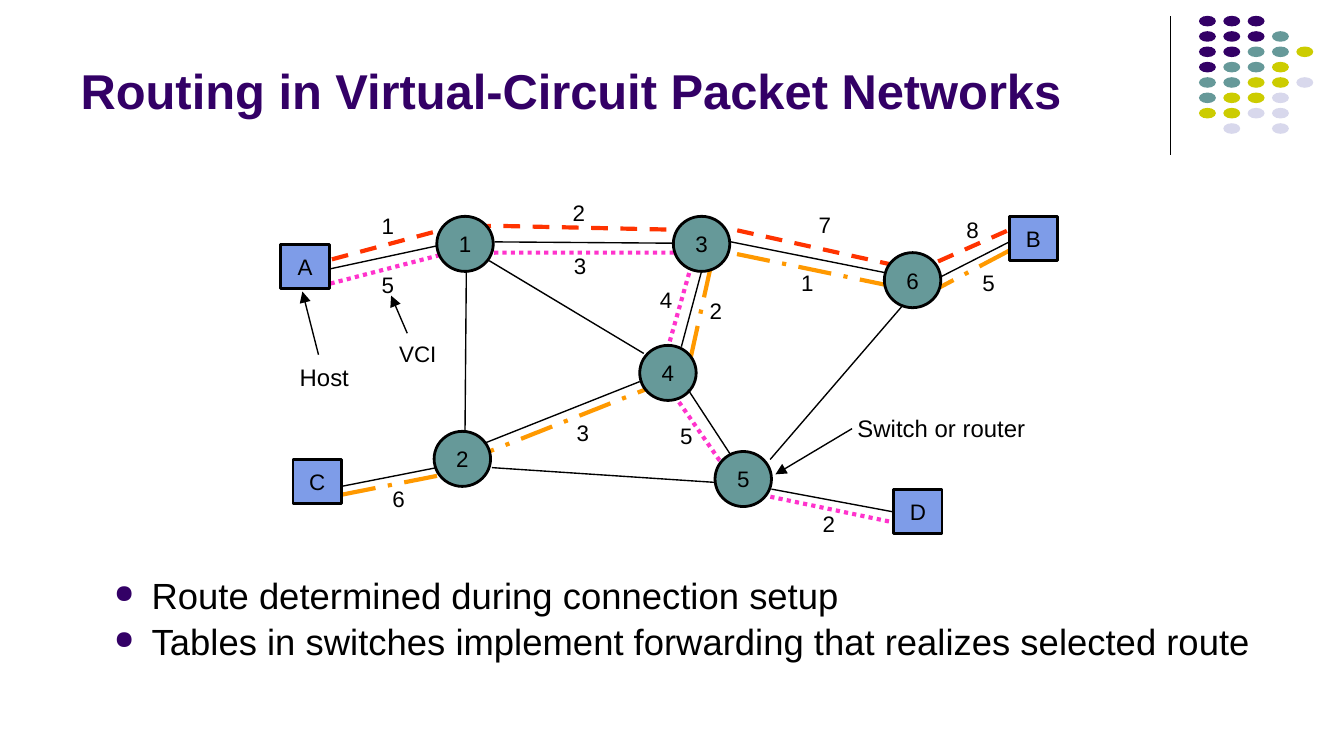
"""Build the slide on routing in virtual-circuit packet networks."""
from dataclasses import dataclass

from lxml import etree
from pptx import Presentation, util as u
from pptx.dml.color import RGBColor
from pptx.enum import dml, shapes, text
from pptx.oxml.ns import qn

PURPLE, TEAL, BLACK, BLUE = "330066", "669999", "000000", "7E9CE8"
FONT = "Arial"


@dataclass
class Node:
    label: str
    left: float
    top: float


@dataclass
class Route:
    color: str
    dash: dml.MSO_LINE
    points: list[tuple[float, float]]


@dataclass
class Link:
    start: tuple[float, float]
    end: tuple[float, float]
    arrow: bool = False


@dataclass
class Label:
    words: str
    left: float
    top: float
    width: float = 0.09
    size: float = 12


DOT_ROWS = ["PPP", "PPPT", "PPTTY", "PTTY", "TTYYL", "TYYL", "YYLL", " L L"]
DOT_COLORS = {"P": PURPLE, "T": TEAL, "Y": "CCCC00", "L": "D8D8EC"}

ROUTES = [
    Route("FF9900", dml.MSO_LINE.LONG_DASH_DOT, [
        (2.55, 3.68), (3.26, 3.54), (3.64, 3.36), (4.8, 2.9), (5.14, 2.66),
        (5.29, 1.98), (5.43, 1.88), (6.59, 2.12), (6.99, 2.14), (7.52, 1.86)]),
    Route("FF33CC", dml.MSO_LINE.ROUND_DOT, [
        (2.46, 2.11), (3.27, 1.9), (3.69, 1.88), (5.04, 1.88), (5.14, 1.99),
        (4.97, 2.59), (5.03, 2.96), (5.35, 3.42), (5.7, 3.69), (6.66, 3.89)]),
    Route("FF3300", dml.MSO_LINE.DASH, [
        (2.47, 1.93), (3.29, 1.71), (3.66, 1.68), (5.04, 1.71),
        (5.42, 1.7), (6.64, 1.97), (6.97, 1.95), (7.51, 1.71)]),
]
SWITCHES = [Node("1", 3.25, 1.61), Node("2", 3.23, 3.21), Node("3", 5.01, 1.61),
            Node("4", 4.76, 2.57), Node("5", 5.32, 3.36), Node("6", 6.58, 1.88)]
HOSTS = [Node("A", 2.09, 1.82), Node("B", 7.51, 1.61),
         Node("C", 2.18, 3.42), Node("D", 6.65, 3.64)]
LINKS = [
    Link((2.46, 2), (3.25, 1.83)), Link((3.68, 1.8), (5.02, 1.81)),
    Link((5.44, 1.8), (6.59, 2.03)), Link((7, 2.06), (7.51, 1.8)),
    Link((3.47, 2.02), (3.46, 3.22)), Link((3.64, 1.94), (4.79, 2.63)),
    Link((5.22, 2.02), (5.07, 2.58)), Link((2.54, 3.62), (3.25, 3.48)),
    Link((3.66, 3.48), (5.32, 3.59)), Link((3.6, 3.3), (4.76, 2.84)),
    Link((5.12, 2.9), (5.44, 3.39)), Link((6.72, 2.27), (5.73, 3.42)),
    Link((5.74, 3.64), (6.65, 3.81)),
    Link((2.37, 2.64), (2.25, 2.17), True),
    Link((6.34, 3.19), (5.77, 3.53), True),
    Link((3.03, 2.48), (2.91, 2.2), True),
]
LABELS = [
    Label("1", 2.84, 1.58), Label("5", 2.84, 2.02), Label("2", 4.26, 1.48),
    Label("3", 4.27, 1.88), Label("7", 6.09, 1.57), Label("1", 5.96, 2),
    Label("8", 7.19, 1.61), Label("5", 7.31, 2), Label("4", 4.91, 2.13),
    Label("2", 5.28, 2.21), Label("3", 4.29, 3.12), Label("6", 2.92, 3.61),
    Label("5", 5.06, 3.14), Label("2", 6.12, 3.8),
    Label("Switch or router", 6.38, 3.08, 1.25, 12.8),
    Label("Host", 2.23, 2.7, 0.37, 12.8), Label("VCI", 2.97, 2.53, 0.28),
]
BULLETS = ["Route determined during connection setup",
           "Tables in switches implement forwarding that realizes selected route"]


def length(inches: float) -> u.Length:
    """Turn inches into a length."""
    return u.Cm(inches * 2.54)


def box(*inches: float) -> list[u.Length]:
    """Turn several inch values into lengths."""
    return [length(value) for value in inches]


def color(value: str) -> RGBColor:
    """Turn a hex string into a colour."""
    return RGBColor.from_string(value)


def set_format(target, **values) -> None:
    """Set each named attribute on the target."""
    for name, value in values.items():
        setattr(target, name, value)


def write(frame, lines: list[str], size: float, hue: str = BLACK, bold: bool = False,
          align=text.PP_ALIGN.LEFT, **frame_format) -> None:
    """Fill a text frame with one formatted paragraph per line."""
    set_format(frame, **frame_format)
    frame.text = "\n".join(lines)
    for paragraph in frame.paragraphs:
        paragraph.alignment = align
        font = paragraph.runs[0].font
        set_format(font, name=FONT, size=u.Pt(size), bold=bold)
        font.color.rgb = color(hue)


def draw_shape(slide, kind, bounds: list[u.Length], fill: str, outline: float = 0):
    """Draw a filled preset shape, outlined in black if a width is given."""
    shape = slide.shapes.add_shape(kind, *bounds)
    shape.shadow.inherit = False
    shape.fill.solid()
    shape.fill.fore_color.rgb = color(fill)
    if outline:
        shape.line.color.rgb = color(BLACK)
        shape.line.width = u.Pt(outline)
    else:
        shape.line.fill.background()
    return shape


def draw_dots(slide) -> None:
    """Draw the grid of decorative dots."""
    for row, codes in enumerate(DOT_ROWS):
        for column, code in enumerate(codes):
            if code in DOT_COLORS:
                bounds = [u.Cm(22.66 + 0.46 * column), u.Cm(0.3 + 0.29 * row),
                          u.Cm(0.32), u.Cm(0.2)]
                draw_shape(slide, shapes.MSO_SHAPE.OVAL, bounds, DOT_COLORS[code])


def draw_node(slide, node: Node, kind, width: float, height: float, fill: str) -> None:
    """Draw a switch or host with its name inside."""
    shape = draw_shape(slide, kind, box(node.left, node.top, width, height), fill, 1.5)
    write(shape.text_frame, [node.label], 12, align=text.PP_ALIGN.CENTER,
          margin_left=0, margin_right=0, margin_top=0, margin_bottom=0,
          vertical_anchor=text.MSO_ANCHOR.MIDDLE, word_wrap=False)


def draw_route(slide, route: Route) -> None:
    """Draw a virtual circuit as an open dashed outline."""
    start, *others = [tuple(box(*point)) for point in route.points]
    builder = slide.shapes.build_freeform(*start)
    builder.add_line_segments(others, close=False)
    shape = builder.convert_to_shape()
    shape.shadow.inherit = False
    shape.fill.background()
    shape.line.color.rgb = color(route.color)
    set_format(shape.line, width=u.Pt(2.25), dash_style=route.dash)


def draw_link(slide, link: Link) -> None:
    """Draw a thin black line, with an arrowhead if asked."""
    connector = slide.shapes.add_connector(
        shapes.MSO_CONNECTOR.STRAIGHT, *box(*link.start, *link.end))
    connector.line.color.rgb = color(BLACK)
    connector.line.width = u.Pt(0.75)
    if link.arrow:
        etree.SubElement(connector.line._get_or_add_ln(), qn("a:tailEnd"), type="triangle")
    etree.SubElement(connector._element.spPr, qn("a:effectLst"))


def draw_label(slide, label: Label) -> None:
    """Draw a small caption without margins."""
    shape = slide.shapes.add_textbox(*box(label.left, label.top, label.width, 0.2))
    write(shape.text_frame, [label.words], label.size, word_wrap=False,
          margin_left=0, margin_right=0, margin_top=0, margin_bottom=0)


def draw_title(slide) -> None:
    """Place and format the title."""
    title = slide.shapes.title
    bounds = dict(zip(("left", "top", "width", "height"), box(0.5, 0.1, 8.25, 0.84)))
    set_format(title, **bounds)
    write(title.text_frame, ["Routing in Virtual-Circuit Packet Networks"], 26.2, PURPLE,
          True, vertical_anchor=text.MSO_ANCHOR.BOTTOM, word_wrap=True,
          auto_size=text.MSO_AUTO_SIZE.NONE)


def draw_bullets(slide) -> None:
    """Draw the bulleted list."""
    frame = slide.shapes.add_textbox(*box(0.75, 4.25, 8.71, 0.77)).text_frame
    write(frame, BULLETS, 19.5, word_wrap=True)
    for paragraph in frame.paragraphs:
        set_format(paragraph, line_spacing=0.9, space_before=u.Pt(3.9))
        properties = paragraph._p.get_or_add_pPr()
        properties.set("marL", str(length(0.28)))
        properties.set("indent", str(-length(0.28)))
        bullet_color = etree.SubElement(properties, qn("a:buClr"))
        etree.SubElement(bullet_color, qn("a:srgbClr"), val=PURPLE)
        etree.SubElement(properties, qn("a:buSzPct"), val="70000")
        etree.SubElement(properties, qn("a:buChar"), char="●")


def main() -> None:
    """Build and save the presentation."""
    presentation = Presentation()
    set_format(presentation, slide_width=u.Cm(25.4), slide_height=u.Cm(14.29))
    slide = presentation.slides.add_slide(presentation.slide_layouts[5])
    draw_link(slide, Link((8.71, 0.12), (8.71, 1.15)))
    draw_dots(slide)
    for route in ROUTES:
        draw_route(slide, route)
    for switch in SWITCHES:
        draw_node(slide, switch, shapes.MSO_SHAPE.OVAL, 0.42, 0.41, TEAL)
    for host in HOSTS:
        draw_node(slide, host, shapes.MSO_SHAPE.RECTANGLE, 0.36, 0.33, BLUE)
    for label in LABELS:
        draw_label(slide, label)
    for link in LINKS:
        draw_link(slide, link)
    draw_title(slide)
    draw_bullets(slide)
    presentation.save("out.pptx")


if __name__ == "__main__":
    main()
